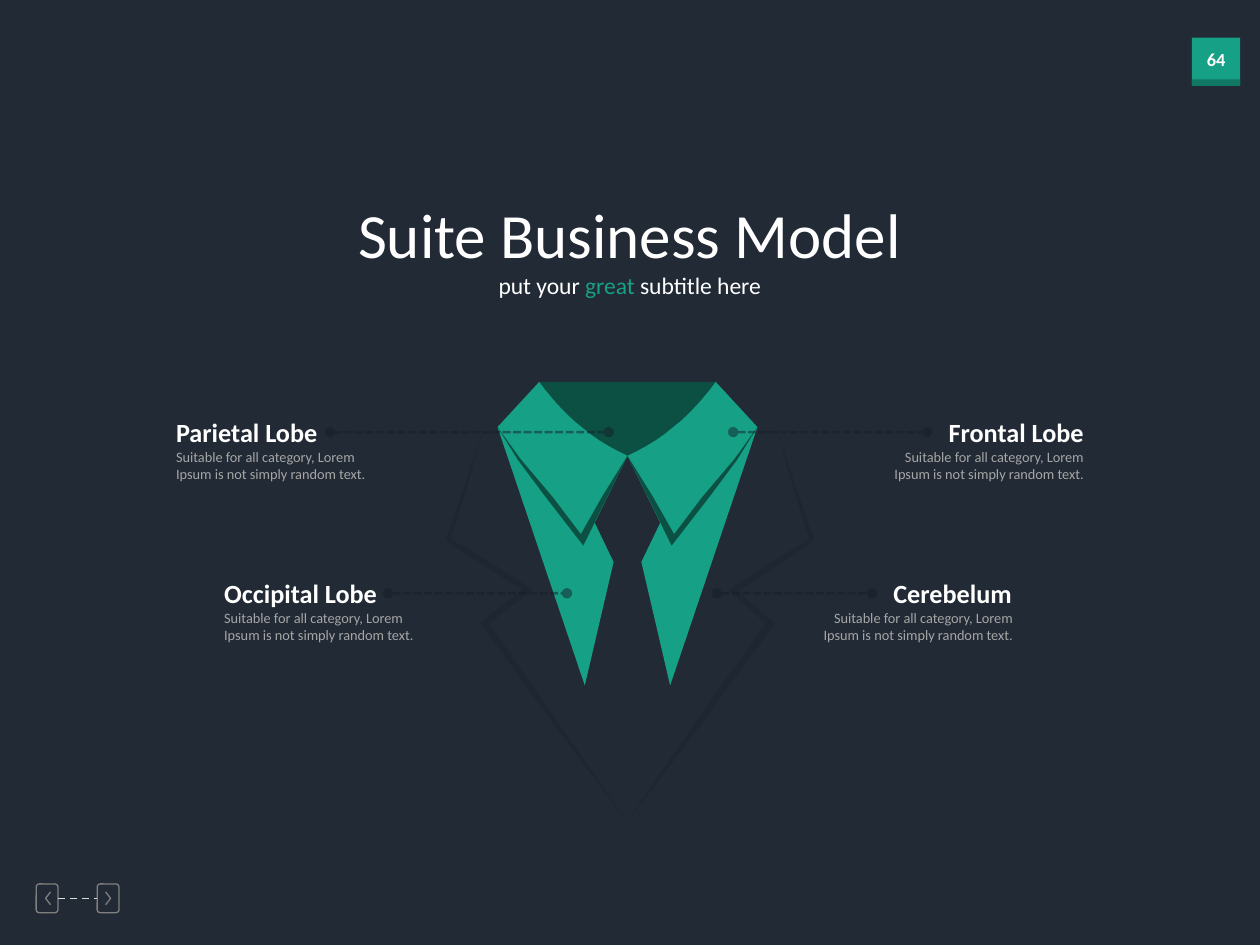
from lxml import etree
from pptx import Presentation
from pptx.dml.color import RGBColor
from pptx.enum.dml import MSO_LINE
from pptx.enum.shapes import MSO_CONNECTOR, MSO_SHAPE
from pptx.enum.text import PP_ALIGN
from pptx.oxml.ns import qn
from pptx.util import Cm, Pt

STRAIGHT = MSO_CONNECTOR.STRAIGHT
RECTANGLE, ROUNDED = MSO_SHAPE.RECTANGLE, MSO_SHAPE.ROUNDED_RECTANGLE
DASH, SQUARE_DOT = MSO_LINE.DASH, MSO_LINE.SQUARE_DOT
LEFT, CENTER, RIGHT = PP_ALIGN.LEFT, PP_ALIGN.CENTER, PP_ALIGN.RIGHT

NAVY = RGBColor(0x22, 0x2A, 0x35)
INK = RGBColor(0x16, 0x1F, 0x28)
GREEN = RGBColor(0x16, 0xA0, 0x85)
GREEN_SHADE = RGBColor(0x10, 0x78, 0x64)
GREEN_DARK = RGBColor(0x0B, 0x50, 0x43)
GRAY = RGBColor(0x80, 0x80, 0x80)
SILVER = RGBColor(0xA6, 0xA6, 0xA6)
PALE = RGBColor(0xD9, 0xD9, 0xD9)
WHITE = RGBColor(0xFF, 0xFF, 0xFF)

TITLE = {"size": Pt(36), "bold": False}
SUBTITLE = {"size": Pt(13.5), "bold": False}
HEADING = {"size": Pt(15), "bold": True}
BODY = {"size": Pt(8.2), "bold": False}
NUMBER = {"size": Pt(10.5), "bold": True}

presentation = Presentation()
presentation.slide_width, presentation.slide_height = Cm(25.4), Cm(19.05)
slide = presentation.slides.add_slide(presentation.slide_layouts[6])
slide.background.fill.solid()
slide.background.fill.fore_color.rgb = NAVY
shapes = slide.shapes


def add_text(runs, left, top, width, height, alignment, font_format, wrap=False):
    box = shapes.add_textbox(Cm(left), Cm(top), Cm(width), Cm(height))
    box.text_frame.word_wrap = wrap
    paragraph = box.text_frame.paragraphs[0]
    paragraph.alignment = alignment
    for text, color in runs:
        run = paragraph.add_run()
        run.text = text
        run.font.name = "Calibri"
        run.font.color.rgb = color
        for name, value in font_format.items():
            setattr(run.font, name, value)


def add_polygon(points, color):
    builder = shapes.build_freeform(*points[0], scale=Cm(0.01))
    builder.add_line_segments(points[1:], close=True)
    shape = builder.convert_to_shape()
    shape.shadow.inherit = False
    shape.fill.solid()
    shape.fill.fore_color.rgb = color
    shape.line.fill.background()
    return shape


for top, height, color in ((0.76, 0.97, GREEN), (1.6, 0.13, GREEN_SHADE)):
    shape = shapes.add_shape(RECTANGLE, Cm(24.03), Cm(top), Cm(0.97), Cm(height))
    shape.shadow.inherit = False
    shape.fill.solid()
    shape.fill.fore_color.rgb = color
    shape.line.fill.background()
add_text([("64", WHITE)], 24.03, 0.84, 0.97, 0.71, CENTER, NUMBER)

buttons = []
for left, base, tip in ((0.73, 102, 92), (1.96, 213, 223)):
    button = shapes.add_shape(ROUNDED, Cm(left), Cm(17.82), Cm(0.44), Cm(0.58))
    button.adjustments[0] = 0.14
    builder = shapes.build_freeform(base, 1798, scale=Cm(0.01))
    builder.add_line_segments([(tip, 1811), (base, 1824)], close=False)
    for shape in (button, builder.convert_to_shape()):
        shape.shadow.inherit = False
        shape.fill.background()
        shape.line.color.rgb = GRAY
        shape.line.width = Pt(0.75)
    buttons.append(button)

link = shapes.add_connector(STRAIGHT, Cm(1.17), Cm(18.11), Cm(1.96), Cm(18.11))
link.begin_connect(buttons[0], 3)
link.end_connect(buttons[1], 1)
link.line.color.rgb = PALE
link.line.width = Pt(1)
link.line.dash_style = DASH
etree.SubElement(link._element.spPr, qn("a:effectLst"))

jacket_left = [
    (1265, 1656), (1158, 1504), (1087, 1402), (986, 1257), (1074, 1189), (988, 1133),
    (909, 1087), (942, 980), (973, 869), (937, 978), (899, 1087), (902, 1092),
    (1052, 1189), (968, 1255), (1080, 1410), (1153, 1509),
]
jacket_right = [
    (1265, 1656), (1369, 1504), (1440, 1402), (1544, 1257), (1468, 1189), (1554, 1135),
    (1631, 1087), (1598, 980), (1567, 869), (1603, 978), (1641, 1087), (1638, 1092),
    (1488, 1191), (1562, 1257), (1450, 1410), (1377, 1509),
]
for points in (jacket_left, jacket_right):
    jacket = add_polygon(points, INK)
    color_element = next(jacket._element.iter(qn("a:srgbClr")))
    etree.SubElement(color_element, qn("a:alpha"), val="30000")

neckline = []
for step in range(17):
    t = step / 16
    weights = ((1 - t) ** 2 * (1 + 2 * t), 3 * t ** 2 * (1 - t), t ** 3)
    neckline.append(tuple(
        sum(weight * value for weight, value in zip(weights, values))
        for values in ((1087, 1153, 1265), (770, 869, 919))
    ))
lapel = [(1003, 861)] + neckline + [(1199, 1054), (1237, 1133), (1179, 1382)]
fold = [
    (1003, 861), (1049, 925), (1115, 1003), (1171, 1077), (1214, 1001),
    (1265, 919), (1222, 1006), (1176, 1100), (1097, 998), (1044, 927),
]
mirrored_neckline, mirrored_lapel, mirrored_fold = (
    [(2530 - x, y) for x, y in points] for points in (neckline, lapel, fold)
)
add_polygon(neckline + mirrored_neckline[::-1], GREEN_DARK)
for points, color in (
    (lapel, GREEN), (mirrored_lapel, GREEN),
    (fold, GREEN_DARK), (mirrored_fold, GREEN_DARK),
):
    add_polygon(points, color)

for start, end, y in (
    (14.78, 18.69, 8.71), (14.45, 17.58, 11.96),
    (6.65, 12.27, 8.71), (7.82, 11.43, 11.96),
):
    pointer = shapes.add_connector(STRAIGHT, Cm(start), Cm(y), Cm(end), Cm(y))
    pointer.line.color.rgb = INK
    pointer.line.width = Pt(1.5)
    pointer.line.dash_style = SQUARE_DOT
    color_element = next(pointer._element.iter(qn("a:srgbClr")))
    etree.SubElement(color_element, qn("a:alpha"), val="50000")
    line_element = pointer._element.spPr.find(qn("a:ln"))
    for tag in ("a:headEnd", "a:tailEnd"):
        etree.SubElement(line_element, qn(tag), type="oval")
    etree.SubElement(pointer._element.spPr, qn("a:effectLst"))

description = "Suitable for all category, Lorem Ipsum is not simply random text."
for heading, left, width, body_left, body_width, top, alignment in (
    ("Parietal Lobe", 3.3, 3.4, 3.3, 4.67, 8.26, LEFT),
    ("Occipital Lobe", 4.27, 3.63, 4.27, 4.32, 11.51, LEFT),
    ("Frontal Lobe", 18.82, 3.28, 17.5, 4.6, 8.26, RIGHT),
    ("Cerebelum", 17.73, 2.92, 16.07, 4.6, 11.51, RIGHT),
):
    add_text([(heading, WHITE)], left, top, width, 0.89, alignment, HEADING)
    add_text([(description, SILVER)], body_left, top + 0.65, body_width, 0.97,
             alignment, BODY, wrap=True)

add_text([("put your ", WHITE), ("great ", GREEN), ("subtitle here", WHITE)],
         9.8, 5.33, 5.79, 0.84, CENTER, SUBTITLE, wrap=True)
add_text([("Suite Business Model", WHITE)], 6.96, 3.81, 11.46, 1.8, CENTER, TITLE)

presentation.save("out.pptx")
